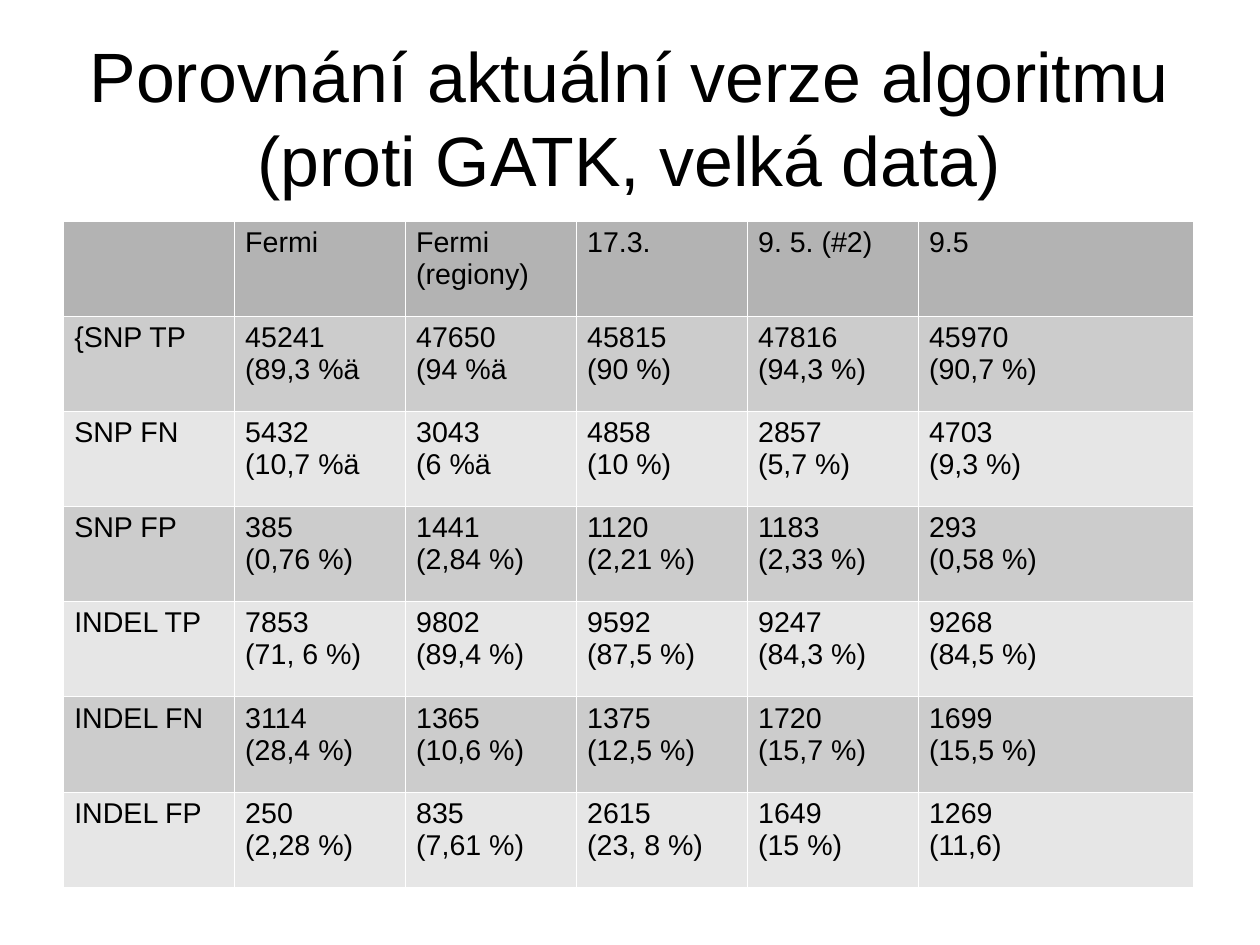
from lxml.etree import SubElement
from pptx import Presentation
from pptx.dml.color import RGBColor
from pptx.enum.text import MSO_ANCHOR, MSO_AUTO_SIZE, PP_ALIGN
from pptx.oxml.ns import qn
from pptx.util import Inches, Pt

FONT = "Arial"
BLACK, WHITE = "000000", "FFFFFF"
HEADER_GREY, DARK_BAND, LIGHT_BAND = "B3B3B3", "CCCCCC", "E6E6E6"

# The page measures 28 by 21 cm
CM_PER_INCH = 2.54
PAGE_WIDTH, PAGE_HEIGHT = 28 / CM_PER_INCH, 21 / CM_PER_INCH

TITLE = "Porovnání aktuální verze algoritmu (proti GATK, velká data)"
TABLE_WIDTH, TABLE_HEIGHT = 9.89, 5.83
LAST_COLUMN = 2.41
COLUMN_WIDTHS = [(TABLE_WIDTH - LAST_COLUMN) / 5] * 5 + [LAST_COLUMN]

# Each line break starts a new paragraph in its cell
RESULTS = [
    ["", "Fermi", "Fermi (regiony)", "17.3.", "9. 5. (#2)", "9.5"],
    ["{SNP TP", "45241\n(89,3 %ä", "47650\n(94 %ä", "45815\n(90 %)",
     "47816\n(94,3 %)", "45970\n(90,7 %)"],
    ["SNP FN", "5432\n(10,7 %ä", "3043\n(6 %ä", "4858\n(10 %)",
     "2857\n(5,7 %)", "4703\n(9,3 %)"],
    ["SNP FP", "385\n(0,76 %)", "1441\n(2,84 %)", "1120\n(2,21 %)",
     "1183\n(2,33 %)", "293\n(0,58 %)"],
    ["INDEL TP", "7853\n(71, 6 %)", "9802\n(89,4 %)", "9592\n(87,5 %)",
     "9247\n(84,3 %)", "9268\n(84,5 %)"],
    ["INDEL FN", "3114\n(28,4 %)", "1365\n(10,6 %)", "1375\n(12,5 %)",
     "1720\n(15,7 %)", "1699\n(15,5 %)"],
    ["INDEL FP", "250\n(2,28 %)", "835\n(7,61 %)", "2615\n(23, 8 %)",
     "1649\n(15 %)", "1269\n(11,6)"],
]


def rgb(value):
    return RGBColor.from_string(value)


def write(frame, text, size=18, color=BLACK, align=PP_ALIGN.LEFT):
    frame.word_wrap = True
    frame.text = text
    for paragraph in frame.paragraphs:
        paragraph.alignment = align
        paragraph.font.size = Pt(size)
        for run in paragraph.runs:
            run.font.name = FONT
            run.font.size = Pt(size)
            run.font.color.rgb = rgb(color)


def add_borders(cell, color, width):
    properties = cell._tc.get_or_add_tcPr()
    for side in ("a:lnL", "a:lnR", "a:lnT", "a:lnB"):
        border = SubElement(properties, qn(side), w=str(Pt(width)))
        fill = SubElement(border, qn("a:solidFill"))
        SubElement(fill, qn("a:srgbClr"), val=color)


def place_title(slide, text):
    title = slide.shapes.title
    title.left, title.top = Inches(0.55), Inches(0.33)
    title.width, title.height = Inches(9.92), Inches(1.38)
    frame = title.text_frame
    frame.margin_left = frame.margin_right = 0
    frame.margin_top = frame.margin_bottom = 0
    frame.vertical_anchor = MSO_ANCHOR.MIDDLE
    write(frame, text, size=44, align=PP_ALIGN.CENTER)
    frame.auto_size = MSO_AUTO_SIZE.SHAPE_TO_FIT_TEXT


def band_color(row_index):
    if row_index == 0:
        return HEADER_GREY
    return DARK_BAND if row_index % 2 else LIGHT_BAND


def add_results_table(slide, rows):
    table = slide.shapes.add_table(
        len(rows), len(COLUMN_WIDTHS), Inches(0.55), Inches(1.93),
        Inches(TABLE_WIDTH), Inches(TABLE_HEIGHT)).table
    table.first_row = table.horz_banding = False
    for column, width in zip(table.columns, COLUMN_WIDTHS):
        column.width = Inches(width)
    for row_index, values in enumerate(rows):
        for column_index, value in enumerate(values):
            cell = table.cell(row_index, column_index)
            add_borders(cell, WHITE, 0.06)
            cell.fill.solid()
            cell.fill.fore_color.rgb = rgb(band_color(row_index))
            write(cell.text_frame, value)


def main():
    presentation = Presentation()
    presentation.slide_width = Inches(PAGE_WIDTH)
    presentation.slide_height = Inches(PAGE_HEIGHT)
    slide = presentation.slides.add_slide(presentation.slide_layouts[5])

    # Heading
    place_title(slide, TITLE)

    # Comparison of the algorithm versions
    add_results_table(slide, RESULTS)

    presentation.save("out.pptx")


if __name__ == "__main__":
    main()
